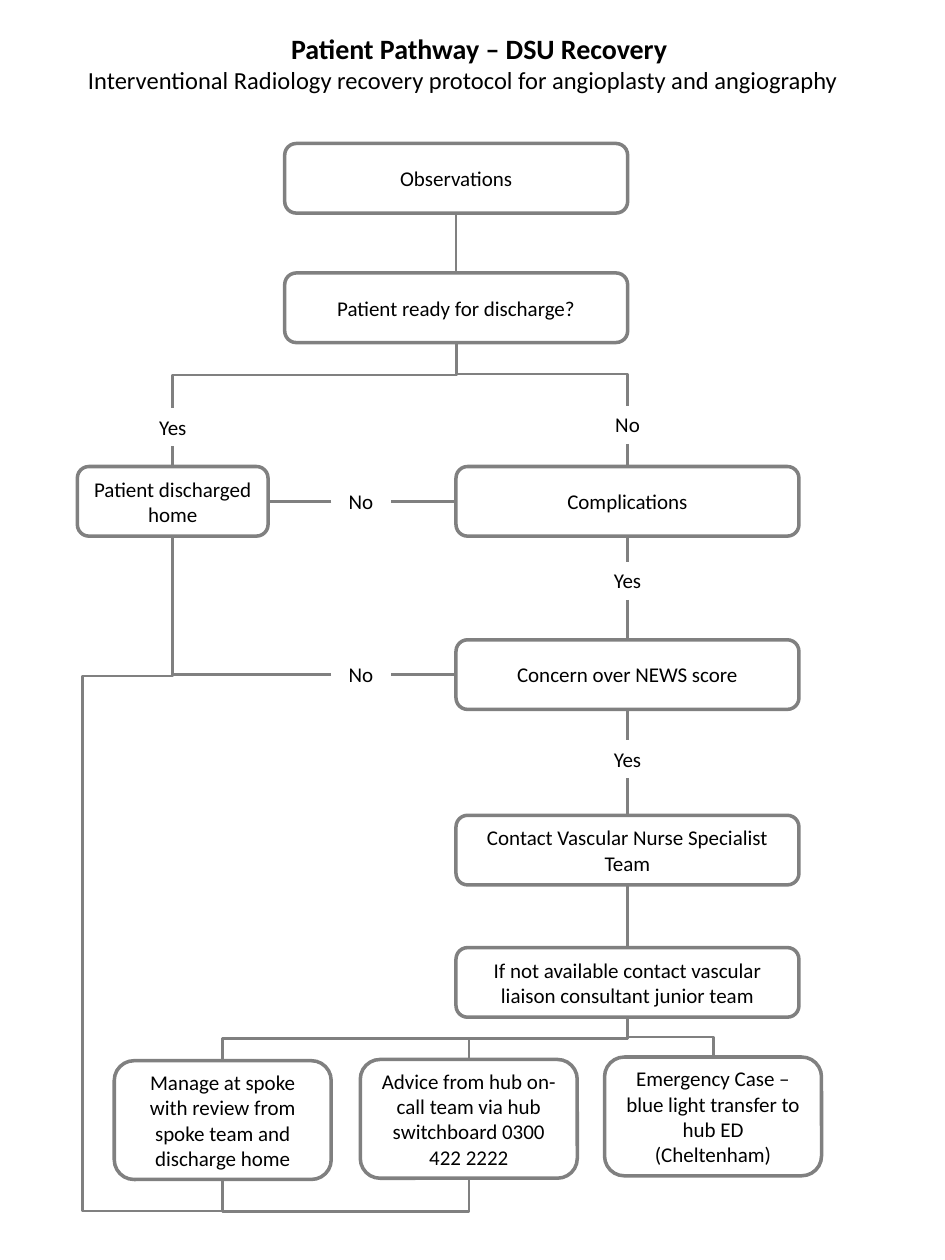
"""Build a one-page patient pathway flowchart."""
import dataclasses
import typing

import lxml.etree
import pptx
import pptx.dml.color
import pptx.enum.shapes
import pptx.enum.text
import pptx.oxml.ns
import pptx.util

Pt = pptx.util.Pt
qn = pptx.oxml.ns.qn
ALIGN = pptx.enum.text.PP_ALIGN
CONNECTOR = pptx.enum.shapes.MSO_CONNECTOR
Point = tuple[float, float]

GREY, BLACK = "808080", "000000"
LEFT, MIDDLE, RIGHT = 98.7, 260.7, 358.6
WIDE, NARROW, OUTCOME = 196, 109, 124
STEP_HEIGHT, OUTCOME_HEIGHT, LABEL_HEIGHT = 39.8, 67.9, 21.8


@dataclasses.dataclass
class Step:
    text: str
    center: float
    top: float
    width: float = WIDE
    height: float = STEP_HEIGHT


@dataclasses.dataclass
class Label:
    text: str
    center: float
    top: float
    width: float = 57


@dataclasses.dataclass
class Elbow:
    start: Point
    end: Point
    turns: tuple[float, ...]


STEPS = [
    Step("Observations", MIDDLE, 82),
    Step("Patient ready for discharge?", MIDDLE, 156),
    Step("Patient discharged home", LEFT, 266.6, NARROW),
    Step("Complications", RIGHT, 266.6),
    Step("Concern over NEWS score", RIGHT, 365.6),
    Step("Contact Vascular Nurse Specialist Team", RIGHT, 465.9),
    Step("If not available contact vascular liaison consultant junior team", RIGHT, 541.5),
    Step("Manage at spoke with review from spoke team and discharge home",
         127.3, 606.1, OUTCOME, OUTCOME_HEIGHT),
    Step("Advice from hub on-call team via hub switchboard 0300 422 2222",
         267.9, 605.4, OUTCOME, OUTCOME_HEIGHT),
    Step("Emergency Case – blue light transfer to hub ED (Cheltenham)",
         407.5, 604, OUTCOME, OUTCOME_HEIGHT),
]

LABELS = [
    Label("Yes", LEFT, 233.1),
    Label("No", RIGHT, 231.8),
    Label("No", 206.3, 275.8, 34),
    Label("Yes", RIGHT, 321),
    Label("No", 206.3, 374.6, 34),
    Label("Yes", RIGHT, 423),
]

STRAIGHT_LINES = [
    ((MIDDLE, 121.8), (MIDDLE, 156)),
    ((LEFT, 254.9), (LEFT, 266.6)),
    ((RIGHT, 253.6), (RIGHT, 266.6)),
    ((MIDDLE, 286.6), (223.3, 286.6)),
    ((189.3, 286.6), (153.2, 286.6)),
    ((RIGHT, 306.4), (RIGHT, 321)),
    ((RIGHT, 342.8), (RIGHT, 365.6)),
    ((MIDDLE, 385.4), (223.3, 385.4)),
    ((RIGHT, 405.4), (RIGHT, 423)),
    ((RIGHT, 444.8), (RIGHT, 465.9)),
    ((RIGHT, 505.7), (RIGHT, 541.5)),
]

READY, JUNIOR_TEAM = (MIDDLE, 195.8), (RIGHT, 581.3)
ELBOWS = [
    Elbow(READY, (LEFT, 233.1), (214.4,)),
    Elbow(READY, (RIGHT, 231.8), (213.8,)),
    Elbow(JUNIOR_TEAM, (127.3, 606.1), (593.5,)),
    Elbow(JUNIOR_TEAM, (267.9, 605.4), (593.5,)),
    Elbow(JUNIOR_TEAM, (407.5, 604), (592.6,)),
    Elbow((127.3, 674), (LEFT, 306.4), (692, 47.3, 386.2)),
    Elbow((267.9, 673.3), (127.3, 674), (692.2,)),
]


def color(value: str) -> pptx.dml.color.RGBColor:
    """Turn a hex string into a colour."""
    return pptx.dml.color.RGBColor.from_string(value)


def write(para: typing.Any, text: str, *, size: float = 12, bold: bool = False,
          align: ALIGN = ALIGN.CENTER) -> None:
    """Write text into a paragraph."""
    para.alignment = align
    span = para.add_run()
    span.text = text
    span.font.name = "Calibri"
    span.font.size = Pt(size)
    span.font.bold = bold
    span.font.color.rgb = color(BLACK)


def add_text_box(page: typing.Any, left: float, top: float, width: float,
                 height: float) -> typing.Any:
    """Add a wrapping text box and return its frame."""
    box = page.shapes.add_textbox(Pt(left), Pt(top), Pt(width), Pt(height))
    box.text_frame.word_wrap = True
    return box.text_frame


def add_step(page: typing.Any, step: Step) -> None:
    """Add an outlined rounded box."""
    box = page.shapes.add_shape(
        pptx.enum.shapes.MSO_SHAPE.ROUNDED_RECTANGLE, Pt(step.center - step.width / 2),
        Pt(step.top), Pt(step.width), Pt(step.height))
    box.shadow.inherit = False
    box.fill.background()
    box.line.color.rgb = color(GREY)
    box.line.width = Pt(2)
    box.text_frame.word_wrap = True
    box.text_frame.vertical_anchor = pptx.enum.text.MSO_ANCHOR.MIDDLE
    write(box.text_frame.paragraphs[0], step.text)


def add_label(page: typing.Any, label: Label) -> None:
    """Add an answer beside a line."""
    frame = add_text_box(page, label.center - label.width / 2, label.top,
                         label.width, LABEL_HEIGHT)
    write(frame.paragraphs[0], label.text)


def add_line(page: typing.Any, start: Point, end: Point,
             kind: CONNECTOR = CONNECTOR.STRAIGHT) -> typing.Any:
    """Add a grey connector."""
    line = page.shapes.add_connector(kind, *(Pt(value) for value in (*start, *end)))
    line.line.color.rgb = color(GREY)
    line.line.width = Pt(1.5)
    lxml.etree.SubElement(line._element.spPr, qn("a:effectLst"))
    return line


def add_elbow(page: typing.Any, elbow: Elbow) -> None:
    """Add a connector that leaves vertically and turns at y, x, y in order."""
    (start_x, start_y), (end_x, end_y) = elbow.start, elbow.end
    center_x, center_y = (start_x + end_x) / 2, (start_y + end_y) / 2
    half_width, half_height = abs(end_y - start_y) / 2, abs(end_x - start_x) / 2
    leftward, downward = end_x < start_x, end_y > start_y
    side = half_width if leftward == downward else -half_width
    line = add_line(page, (center_x - side, center_y - half_height),
                    (center_x + side, center_y + half_height), CONNECTOR.ELBOW)
    properties = line._element.spPr
    properties.find(qn("a:xfrm")).set("rot", str((90 if leftward else 270) * 60000))
    geometry = properties.find(qn("a:prstGeom"))
    geometry.set("prst", f"bentConnector{len(elbow.turns) + 2}")
    guides = geometry.find(qn("a:avLst"))
    if guides is None:
        guides = lxml.etree.SubElement(geometry, qn("a:avLst"))
    for index, turn in enumerate(elbow.turns):
        first, last = (start_x, end_x) if index % 2 else (start_y, end_y)
        share = round((turn - first) / (last - first) * 100000)
        lxml.etree.SubElement(guides, qn("a:gd"), name=f"adj{index + 1}", fmla=f"val {share}")


def main() -> None:
    """Build and save the deck."""
    deck = pptx.Presentation()
    deck.slide_width, deck.slide_height = Pt(540), Pt(720)
    page = deck.slides.add_slide(deck.slide_layouts[6])
    heading = add_text_box(page, 43.2, 14.4, 465, 44)
    write(heading.paragraphs[0], "Patient Pathway – DSU Recovery ", size=16, bold=True)
    write(heading.add_paragraph(),
          "Interventional Radiology recovery protocol for angioplasty and angiography",
          size=14, align=ALIGN.LEFT)
    for step in STEPS:
        add_step(page, step)
    for label in LABELS:
        add_label(page, label)
    for start, end in STRAIGHT_LINES:
        add_line(page, start, end)
    for elbow in ELBOWS:
        add_elbow(page, elbow)
    corner = add_line(page, (189.3, 385.4), (LEFT, 306.4), CONNECTOR.ELBOW)
    corner._element.spPr.find(qn("a:prstGeom")).set("prst", "bentConnector2")
    deck.save("out.pptx")


main()
